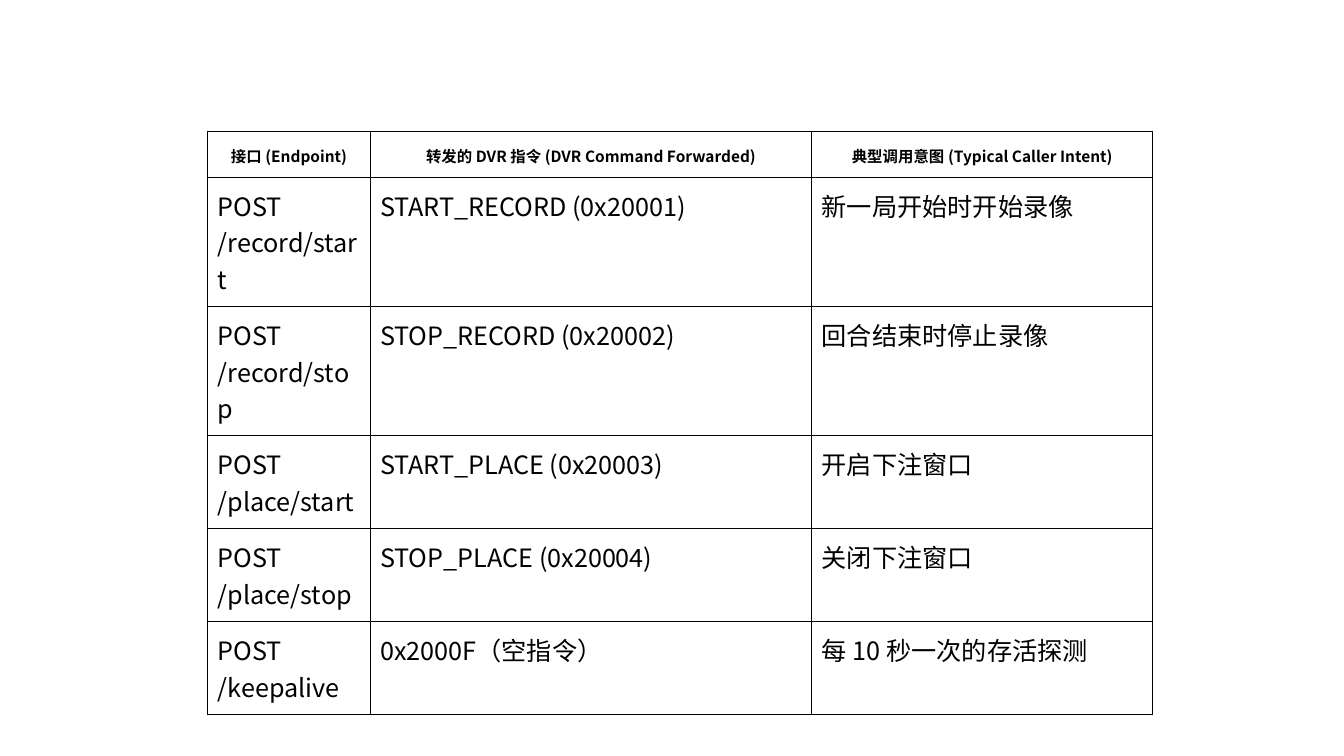
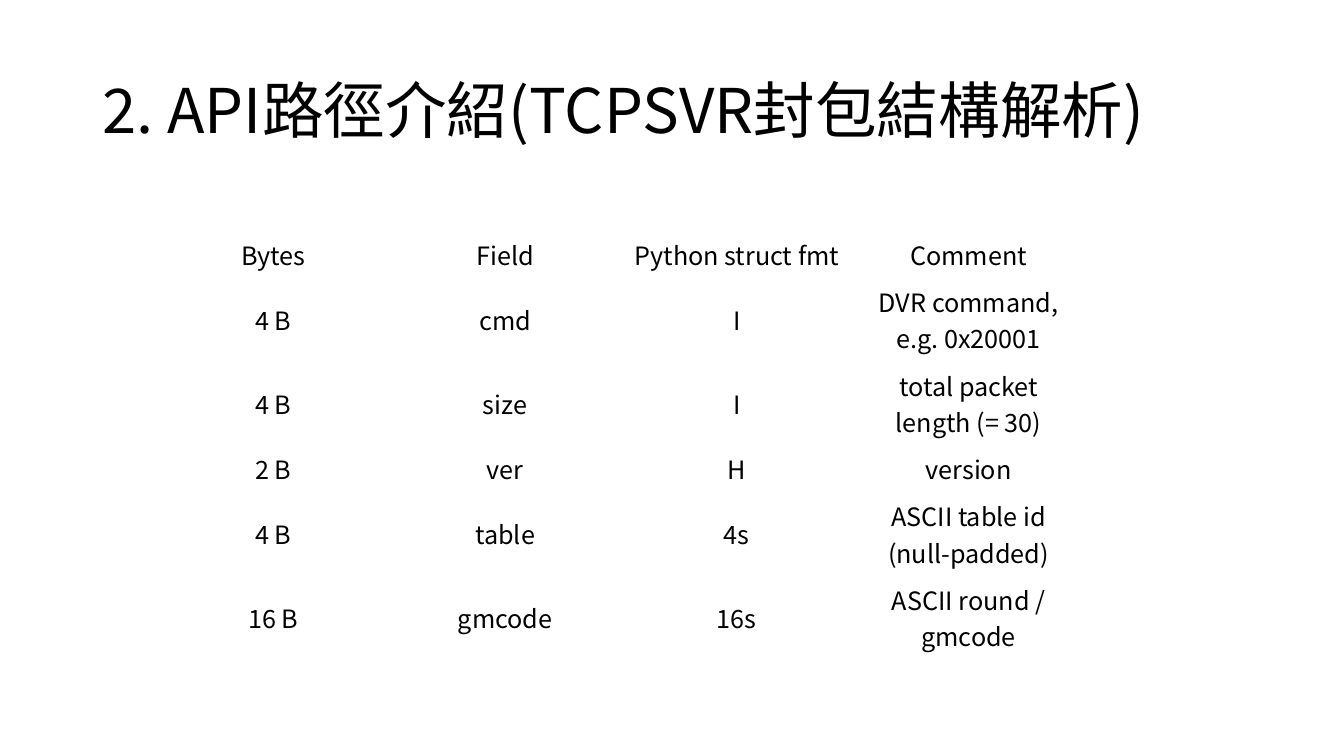
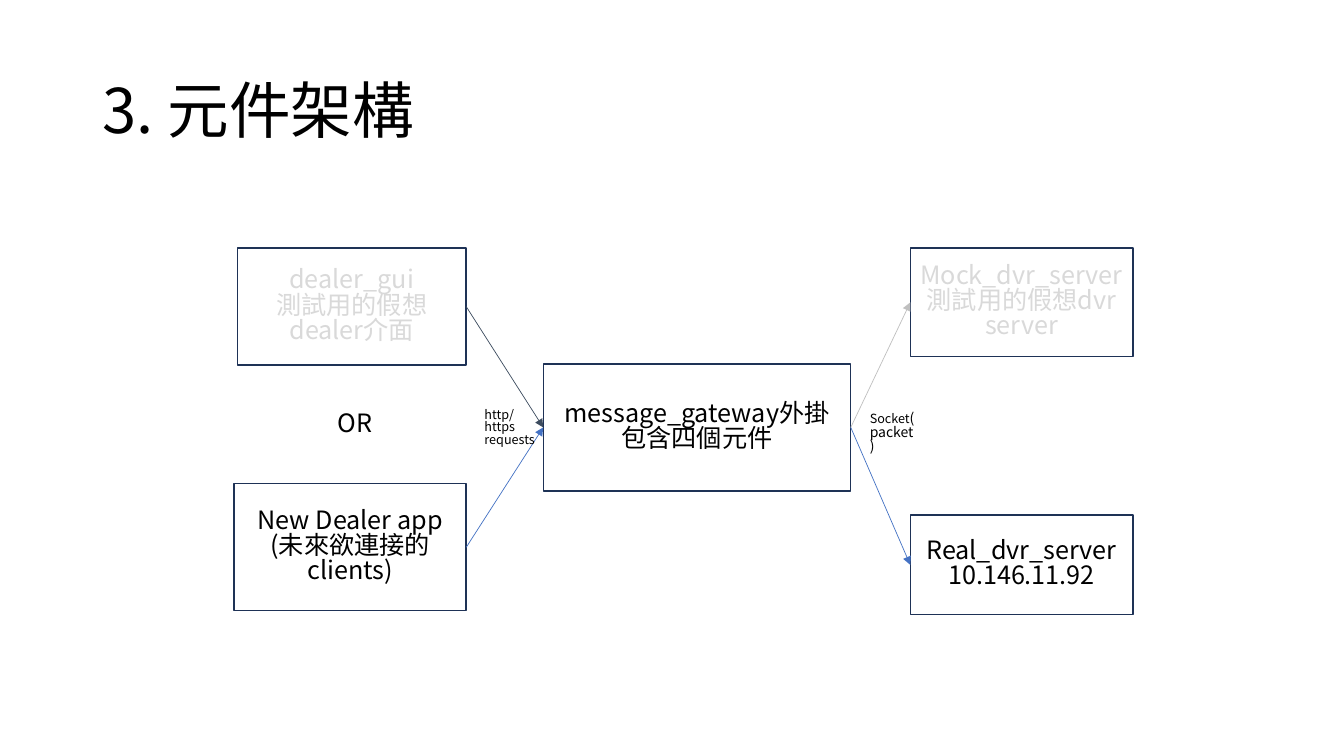
"""Build three slides on the gateway API: endpoints, packet layout and components."""
import pptx
import pptx.dml.color
import pptx.enum.shapes
import pptx.enum.text
import pptx.oxml
import pptx.oxml.ns
import pptx.util

Cm = pptx.util.Cm
Pt = pptx.util.Pt
ALIGN = pptx.enum.text.PP_ALIGN
ANCHOR = pptx.enum.text.MSO_ANCHOR
FONT = "Noto Sans CJK SC"
BLACK, WHITE, GREY, NAVY, BLUE = "000000", "FFFFFF", "D9D9D9", "1E3256", "4472C4"
NS = pptx.oxml.ns.nsdecls("a")


def rgb(value):
    """Return the colour for a hex string."""
    return pptx.dml.color.RGBColor.from_string(value)


def write(tf, paragraphs, size, color=BLACK, bold=False, align=ALIGN.LEFT, spacing=1.0):
    """Fill a text frame; a paragraph is a string or a tuple of runs."""
    for i, runs in enumerate(paragraphs):
        p = tf.paragraphs[0] if i == 0 else tf.add_paragraph()
        for name, value in {"alignment": align, "line_spacing": spacing}.items():
            setattr(p, name, value)
        for text in (runs,) if isinstance(runs, str) else runs:
            r = p.add_run()
            r.text = text
            for name, value in {"name": FONT, "size": Pt(size), "bold": bold}.items():
                setattr(r.font, name, value)
            r.font.color.rgb = rgb(color)
            r.font._element.append(pptx.oxml.parse_xml(f'<a:ea {NS} typeface="{FONT}"/>'))


prs = pptx.Presentation()
prs.slide_width, prs.slide_height = Cm(33.87), Cm(19.05)

slides = []
for title in (None, "2. API路徑介紹(TCPSVR封包結構解析)", "3. 元件架構"):
    s = prs.slides.add_slide(prs.slide_layouts[6])
    slides.append(s)
    if title:
        tf = s.shapes.add_textbox(Cm(2.33), Cm(1.01), Cm(29.21), Cm(3.68)).text_frame
        for name, value in {"word_wrap": True, "vertical_anchor": ANCHOR.MIDDLE}.items():
            setattr(tf, name, value)
        write(tf, [title], 44, spacing=0.9)

endpoints = {
    "left": 5.24, "top": 3.3, "cols": [4.09, 11.13, 8.59],
    "heights": [1.16, 3.26, 3.26, 2.34, 2.34, 2.34],
    "head": {"size": 11, "bold": True, "align": ALIGN.CENTER, "spacing": 1.15},
    "body": {"size": 18},
    "cell": dict.fromkeys(("margin_left", "margin_right", "margin_top", "margin_bottom"), Cm(0.25)),
    "border": True,
    "rows": [
        ("接口 (Endpoint)", "转发的 DVR 指令 (DVR Command Forwarded)", "典型调用意图 (Typical Caller Intent)"),
        ("POST /record/start", "START_RECORD (0x20001)", "新一局开始时开始录像"),
        ("POST /record/stop", "STOP_RECORD (0x20002)", "回合结束时停止录像"),
        ("POST /place/start", "START_PLACE (0x20003)", "开启下注窗口"),
        ("POST /place/stop", "STOP_PLACE (0x20004)", "关闭下注窗口"),
        ("POST /keepalive", "0x2000F（空指令）", "每 10 秒一次的存活探测"),
    ],
}
packet = {
    "left": 3.97, "top": 5.82, "cols": [5.84] * 4,
    "heights": [1.18, 2.11, 2.11, 1.18, 2.11, 2.11],
    "head": {"size": 18, "align": ALIGN.CENTER},
    "body": {"size": 18, "align": ALIGN.CENTER},
    "cell": {"vertical_anchor": ANCHOR.MIDDLE},
    "border": False,
    "rows": [
        ("Bytes", "Field", "Python struct fmt", "Comment"),
        ("4 B", "cmd", "I", "DVR command, e.g. 0x20001"),
        ("4 B", "size", "I", "total packet length (= 30)"),
        ("2 B", "ver", "H", "version"),
        ("4 B", "table", "4s", "ASCII table id (null-padded)"),
        ("16 B", "gmcode", "16s", "ASCII round / gmcode"),
    ],
}
for s, grid in zip(slides, (endpoints, packet)):
    cols, heights = grid["cols"], grid["heights"]
    table = s.shapes.add_table(len(heights), len(cols), Cm(grid["left"]), Cm(grid["top"]),
                               Cm(sum(cols)), Cm(sum(heights))).table
    for name in ("first_row", "horz_banding"):
        setattr(table, name, False)
    for column, width in zip(table.columns, cols):
        column.width = Cm(width)
    for i, (row, height, texts) in enumerate(zip(table.rows, heights, grid["rows"])):
        row.height = Cm(height)
        for cell, text in zip(row.cells, texts):
            for name, value in grid["cell"].items():
                setattr(cell, name, value)
            cell.fill.background()
            write(cell.text_frame, [text], **grid["body" if i else "head"])
            for k, side in enumerate("LRTB" if grid["border"] else ""):
                cell._tc.get_or_add_tcPr().insert(k, pptx.oxml.parse_xml(
                    f'<a:ln{side} {NS} w="{Pt(0.75)}"><a:solidFill><a:srgbClr val="{BLACK}"/>'
                    f'</a:solidFill></a:ln{side}>'))

s = slides[2]
boxes = {}
for key, left, top, width, height, color, lines in (
    ("gui", 5.98, 6.25, 5.77, 2.95, GREY, ["dealer_gui", "測試用的假想dealer介面"]),
    ("gateway", 13.69, 9.17, 7.75, 3.2, BLACK, ["message_gateway外掛", "包含四個元件"]),
    ("app", 5.9, 12.19, 5.85, 3.2, BLACK, ["New Dealer app", "(未來欲連接的clients)"]),
    ("real", 22.94, 12.98, 5.61, 2.51, BLACK, ["Real_dvr_server", "10.146.11.92"]),
    ("mock", 22.94, 6.25, 5.61, 2.74, GREY, ["Mock_dvr_server", "測試用的假想dvr server"]),
):
    sp = s.shapes.add_shape(pptx.enum.shapes.MSO_SHAPE.RECTANGLE, Cm(left), Cm(top), Cm(width), Cm(height))
    sp.shadow.inherit = False
    sp.fill.solid()
    sp.fill.fore_color.rgb = rgb(WHITE)
    sp.line.color.rgb = rgb(NAVY)
    sp.line.width = Pt(1)
    tf = sp.text_frame
    for name, value in {"word_wrap": True, "vertical_anchor": ANCHOR.MIDDLE}.items():
        setattr(tf, name, value)
    write(tf, lines, 18, color, align=ALIGN.CENTER, spacing=0.83)
    boxes[key] = sp

for start, end, color in (
    ("gui", "gateway", "3D4C5F"),
    ("app", "gateway", BLUE),
    ("gateway", "mock", "BFBFBF"),
    ("gateway", "real", BLUE),
):
    sp = s.shapes.add_connector(pptx.enum.shapes.MSO_CONNECTOR.STRAIGHT, 0, 0, 0, 0)
    sp.begin_connect(boxes[start], 3)
    sp.end_connect(boxes[end], 1)
    sp.line.color.rgb = rgb(color)
    sp.line.width = Pt(0.5)
    sp.line._get_or_add_ln().append(pptx.oxml.parse_xml(f'<a:tailEnd {NS} type="triangle"/>'))
    sp._element.spPr.append(pptx.oxml.parse_xml(f"<a:effectLst {NS}/>"))

for left, top, width, height, size, runs in (
    (8.26, 10.26, 2.26, 0.86, 18, "OR"),
    (11.96, 10.19, 1.98, 1.02, 9, "http/https requests"),
    (21.67, 10.26, 1.7, 1.12, 9, ("Socket", "(packet)")),
):
    tf = s.shapes.add_textbox(Cm(left), Cm(top), Cm(width), Cm(height)).text_frame
    tf.word_wrap = True
    write(tf, [runs], size, spacing=0.83)
tf.paragraphs[0].runs[-1].font.size = Pt(10)

prs.save("out.pptx")
